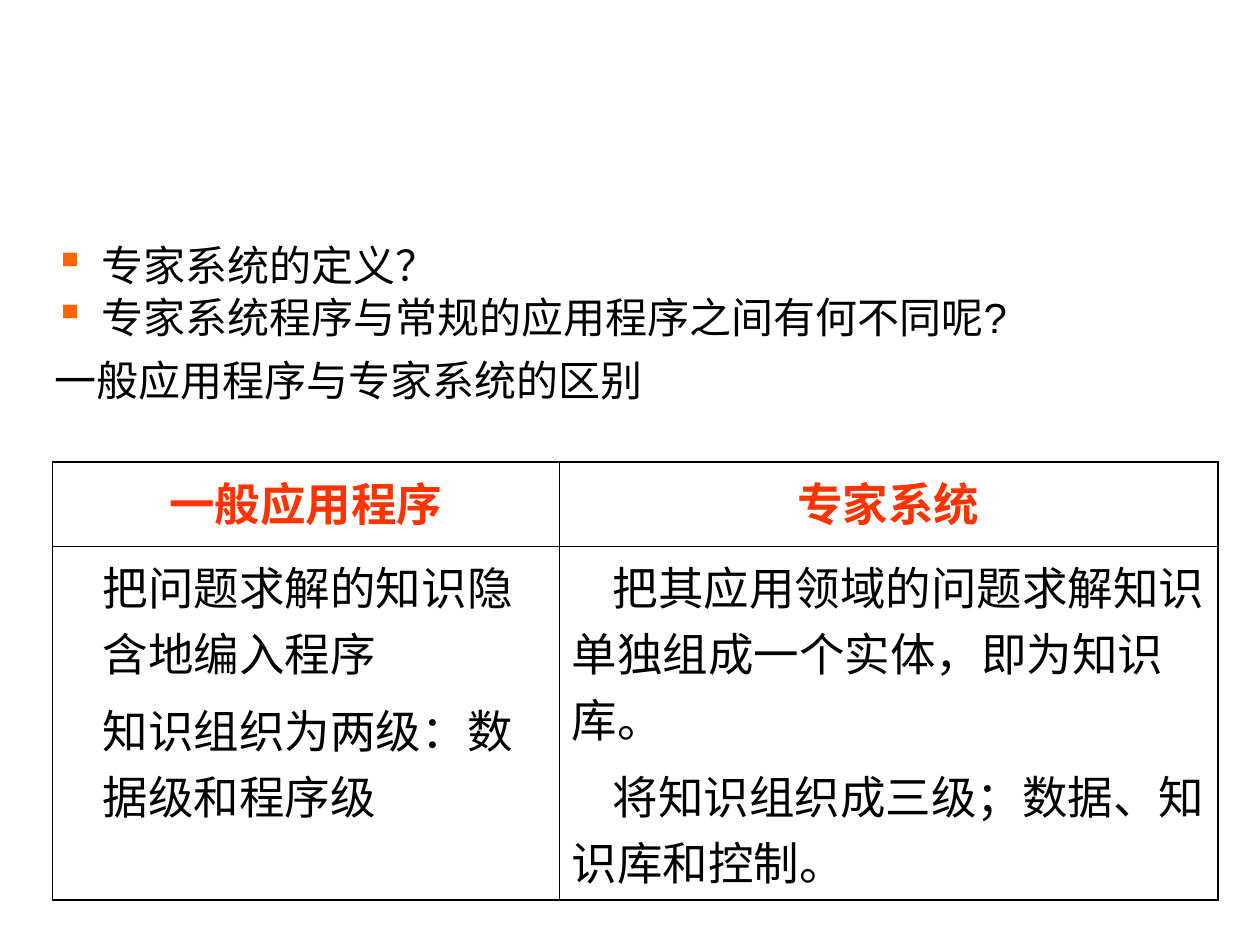
"""Build a slide that contrasts ordinary programs with expert systems."""
import pptx
import pptx.dml.color
import pptx.enum.text
import pptx.oxml
import pptx.oxml.ns
import pptx.util

RGB = pptx.dml.color.RGBColor
BLACK = RGB(0x00, 0x00, 0x00)
ORANGE = RGB(0xFF, 0x66, 0x00)
RED = RGB(0xFF, 0x33, 0x00)
ALIGN = pptx.enum.text.PP_ALIGN
Pt = pptx.util.Pt

WIDE, HIGH = pptx.util.Inches(10), pptx.util.Inches(7.5)
COLS = 120
THICK, THIN = 1.08, 0.45

TOPICS = [
    ("专家系统的定义？", 0, True),
    ("专家系统程序与常规的应用程序之间有何不同呢?", 6, True),
    ("一般应用程序与专家系统的区别", 12, False),
]
HEADS = ["一般应用程序", "专家系统"]
POINTS = [
    ["把问题求解的知识隐含地编入程序", "知识组织为两级：数据级和程序级"],
    ["把其应用领域的问题求解知识单独组成一个实体，即为知识库。",
     "将知识组织成三级；数据、知识库和控制。"],
]
BODY = {"name": "Arial", "size": Pt(24), "bold": False}
CELL = {"name": "Arial", "size": Pt(26), "bold": False}
HEAD = {"name": "Arial", "size": Pt(26), "bold": True}


def grid(count):
    """Turn a count of grid columns into a length."""
    return int(WIDE * count / COLS)


def element(text):
    """Make a drawing element from a short piece of XML."""
    space = pptx.oxml.ns.nsdecls("a")
    return pptx.oxml.parse_xml(text.replace(" ", f" {space} ", 1))


def style(para, look, color, **layout):
    """Apply font values, colour and paragraph layout."""
    for key, value in look.items():
        setattr(para.font, key, value)
    para.font.color.rgb = color
    for key, value in layout.items():
        setattr(para, key, value)


def indent(para, left, first):
    """Set the left margin and first-line indent in grid columns."""
    props = para._p.get_or_add_pPr()
    props.set("marL", str(grid(left)))
    props.set("indent", str(grid(first)))


def bullet(para):
    """Give a paragraph a square orange bullet."""
    props = para._p.get_or_add_pPr()
    props.append(element(f'<a:buClr ><a:srgbClr val="{ORANGE}"/></a:buClr>'))
    props.append(element('<a:buChar char="▪"/>'))


def topics(slide, box):
    """Write the questions and the table caption in the box."""
    frame = slide.shapes.add_textbox(*map(grid, box)).text_frame
    frame.word_wrap = True
    for row, (text, gap, mark) in enumerate(TOPICS):
        para = frame.add_paragraph() if row else frame.paragraphs[0]
        para.text = text
        indent(para, 4.5, -4.5)
        if mark:
            bullet(para)
        style(para, BODY, BLACK, space_before=Pt(gap), line_spacing=0.83)


def border(cell, widths):
    """Draw the left, right, top and bottom lines of a cell."""
    props = cell._tc.get_or_add_tcPr()
    for place, (side, width) in enumerate(zip("LRTB", widths)):
        props.insert(place, element(
            f'<a:ln{side} w="{Pt(width)}"><a:solidFill>'
            f'<a:srgbClr val="{BLACK}"/></a:solidFill></a:ln{side}>'))


def fill(cell, texts, look, color, align, margin):
    """Write the paragraphs of one table cell."""
    cell.fill.background()
    frame = cell.text_frame
    for row, text in enumerate(texts):
        para = frame.add_paragraph() if row else frame.paragraphs[0]
        para.text = text
        indent(para, *margin)
        style(para, look, color, alignment=align,
              space_before=Pt(6.5 if row else 0))


def compare(slide, box, cols, rows):
    """Place the comparison table in the box."""
    table = slide.shapes.add_table(2, 2, *map(grid, box)).table
    table.first_row = table.horz_banding = False
    for parts, key, sizes in ((table.columns, "width", cols),
                              (table.rows, "height", rows)):
        for part, size in zip(parts, sizes):
            setattr(part, key, grid(size))
    for col, margin in enumerate([(3.6, 0), (0, 3.9)]):
        fill(table.cell(0, col), [HEADS[col]], HEAD, RED, ALIGN.CENTER, (0, 0))
        fill(table.cell(1, col), POINTS[col], CELL, BLACK, ALIGN.LEFT, margin)
        for row in range(2):
            sides = (col == 0, col == 1, row == 0, row == 1)
            border(table.cell(row, col),
                   [THICK if outer else THIN for outer in sides])


def main():
    """Build and save the slide."""
    deck = pptx.Presentation()
    deck.slide_width, deck.slide_height = WIDE, HIGH
    slide = deck.slides.add_slide(deck.slide_layouts[6])
    topics(slide, (4, 23, 107, 56))
    compare(slide, (5, 44, 111, 41.75), (48.25, 62.75), (8, 33.75))
    deck.save("out.pptx")


if __name__ == "__main__":
    main()
